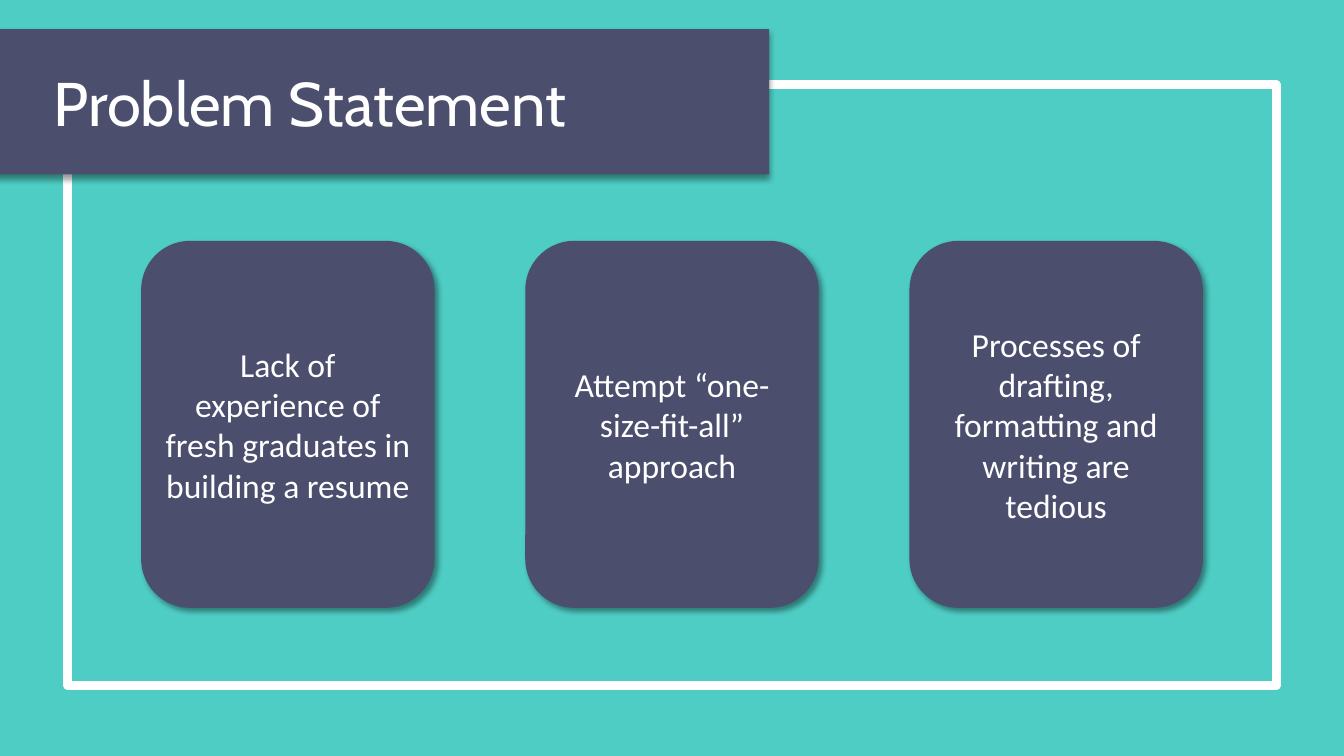
from lxml import etree
from pptx import Presentation
from pptx.dml.color import RGBColor
from pptx.enum.shapes import MSO_SHAPE as Shape
from pptx.enum.text import MSO_ANCHOR as Anchor, PP_ALIGN as Align
from pptx.oxml.ns import qn
from pptx.util import Inches, Pt

TURQUOISE = RGBColor(0x4E, 0xCD, 0xC4)
SLATE = RGBColor(0x4B, 0x4E, 0x6D)
WHITE = RGBColor(0xFF, 0xFF, 0xFF)
BLACK = RGBColor(0x00, 0x00, 0x00)

PROBLEMS = [
    "Lack of experience of fresh graduates in building a resume",
    "Attempt “one-size-fit-all” approach",
    "Processes of drafting, formatting and writing are tedious",
]
CARD_LEFT, CARD_TOP = 1.4, 2.39
CARD_WIDTH, CARD_HEIGHT = 2.91, 3.64
CARD_PITCH = 3.81


def add_panel(slide, kind, left, top, width, height):
    panel = slide.shapes.add_shape(
        kind, Inches(left), Inches(top), Inches(width), Inches(height))
    panel.shadow.inherit = False
    return panel


def cast_shadow(panel, degrees):
    """Give the panel a soft black shadow that falls in the given direction."""
    effects = panel._element.spPr.find(qn("a:effectLst"))
    shadow = etree.SubElement(
        effects, qn("a:outerShdw"), blurRad=str(Pt(4)), dist=str(Pt(3)),
        dir=str(degrees * 60000), algn="tl", rotWithShape="0")
    color = etree.SubElement(shadow, qn("a:srgbClr"), val=str(BLACK))
    etree.SubElement(color, qn("a:alpha"), val="40000")


def fill_slate(panel, shadow_degrees):
    panel.fill.solid()
    panel.fill.fore_color.rgb = SLATE
    panel.line.fill.background()
    cast_shadow(panel, shadow_degrees)


def write_text(panel, wording, font_name, size, align):
    frame = panel.text_frame
    frame.word_wrap = True
    frame.vertical_anchor = Anchor.MIDDLE
    paragraph = frame.paragraphs[0]
    paragraph.alignment = align
    run = paragraph.add_run()
    run.text = wording
    run.font.name = font_name
    run.font.size = Pt(size)
    run.font.color.rgb = WHITE


def add_frame(slide):
    frame = add_panel(slide, Shape.RECTANGLE, 0.67, 0.84, 11.99, 5.96)
    frame.fill.background()
    frame.line.color.rgb = WHITE
    frame.line.width = Pt(6)


def add_title_banner(slide, title):
    banner = add_panel(slide, Shape.RECTANGLE, -0.57, 0.29, 8.2, 1.44)
    fill_slate(banner, 90)
    banner.text_frame.margin_left = Inches(1.1)
    write_text(banner, title, "Cabin", 44, Align.LEFT)


def add_problem_card(slide, left, problem):
    card = add_panel(slide, Shape.ROUNDED_RECTANGLE,
                     left, CARD_TOP, CARD_WIDTH, CARD_HEIGHT)
    fill_slate(card, 45)
    write_text(card, problem, "Calibri", 24, Align.CENTER)


def main():
    deck = Presentation()
    deck.slide_width = Inches(13.33)
    deck.slide_height = Inches(7.5)
    slide = deck.slides.add_slide(deck.slide_layouts[6])
    slide.background.fill.solid()
    slide.background.fill.fore_color.rgb = TURQUOISE

    add_frame(slide)
    add_title_banner(slide, "Problem Statement")
    for column, problem in enumerate(PROBLEMS):
        add_problem_card(slide, CARD_LEFT + column * CARD_PITCH, problem)

    deck.save("out.pptx")


if __name__ == "__main__":
    main()
